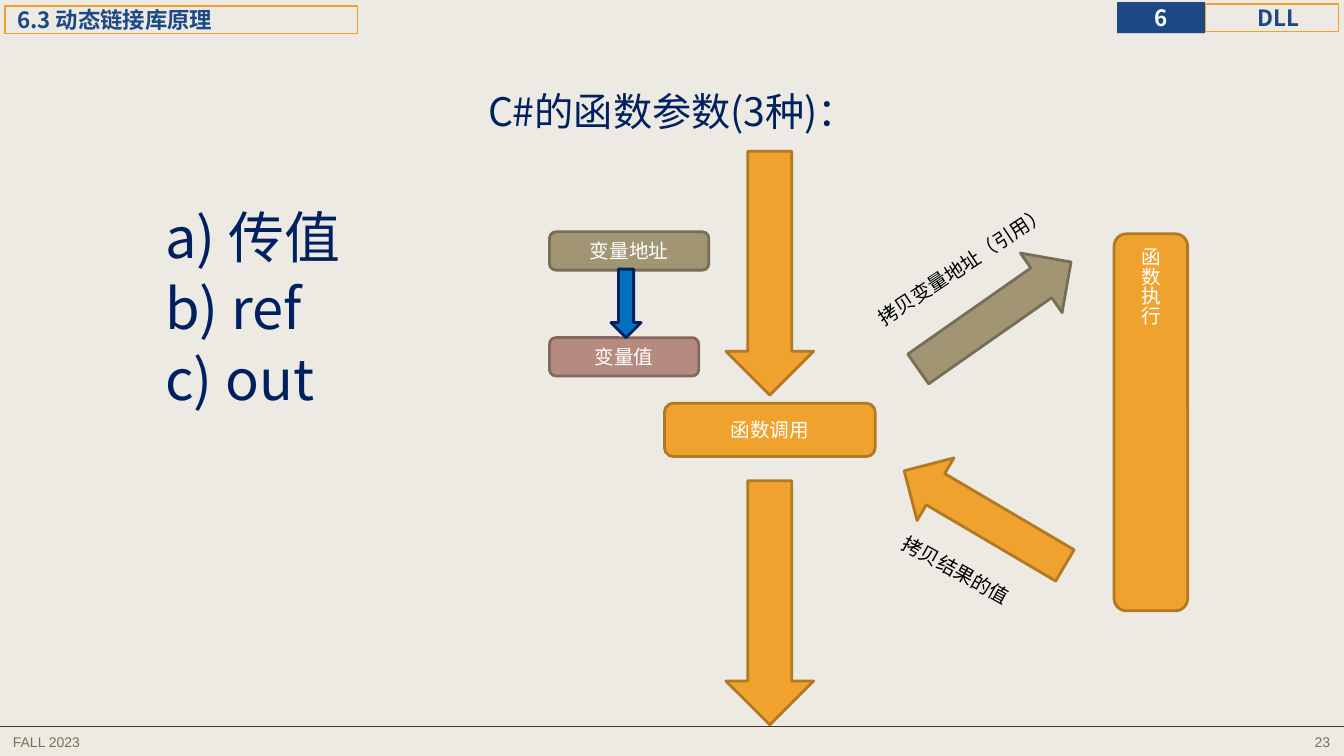
from lxml import etree
from pptx import Presentation
from pptx.dml.color import RGBColor
from pptx.enum import shapes, text
from pptx.oxml import ns
from pptx.util import Inches, Pt

CJK = "Noto Sans CJK SC"
NAVY, BLUE, WHITE, BLACK = "002060", "1C4885", "FFFFFF", "000000"
GOLD, TAN, ROSE = ("F0A22E", "B27822"), ("A19574", "776E56"), ("B58B80", "86675F")
KIND = shapes.MSO_SHAPE
ALIGN = text.PP_ALIGN
ANCHOR = text.MSO_ANCHOR


def color(code):
    return RGBColor.from_string(code)


def write(shape, lines, size, ink, font=CJK, bold=False, align=ALIGN.LEFT,
          anchor=ANCHOR.TOP, inset=(0.1, 0.05, 0.1, 0.05), wrap=True, para=None):
    frame = shape.text_frame
    sides = ("margin_left", "margin_top", "margin_right", "margin_bottom")
    style = dict(zip(sides, map(Inches, inset)), word_wrap=wrap,
                 auto_size=text.MSO_AUTO_SIZE.NONE, vertical_anchor=anchor)
    for key, value in style.items():
        setattr(frame, key, value)
    frame.text = "\n".join(lines)
    for item in frame.paragraphs:
        for key, value in {"alignment": align, **(para or {})}.items():
            setattr(item, key, value)
        for run in item.runs:
            for key, value in {"name": font, "size": Pt(size), "bold": bold}.items():
                setattr(run.font, key, value)
            run.font.color.rgb = color(ink)
            # East Asian glyphs take their own font entry
            etree.SubElement(run.font._element, ns.qn("a:ea")).set("typeface", font)


def draw(slide, kind, box, fill=None, line=None, width=2, turn=0):
    shape = slide.shapes.add_shape(kind, *map(Inches, box))
    shape.shadow.inherit = False
    shape.rotation = turn
    if fill:
        shape.fill.solid()
        shape.fill.fore_color.rgb = color(fill)
    else:
        shape.fill.background()
    if line:
        shape.line.color.rgb = color(line)
        shape.line.width = Pt(width)
    else:
        shape.line.fill.background()
    return shape


def label(slide, box, lines, size, ink, turn=0, **style):
    shape = slide.shapes.add_textbox(*map(Inches, box))
    shape.rotation = turn
    write(shape, lines, size, ink, **style)


def block(slide, box, words, tone):
    shape = draw(slide, KIND.ROUNDED_RECTANGLE, box, *tone)
    write(shape, [words], 14, WHITE, align=ALIGN.CENTER, anchor=ANCHOR.MIDDLE)
    return shape


def tag(slide, box, words, ink, fill=None, line=None, **style):
    shape = draw(slide, KIND.RECTANGLE, box, fill, line, 0.75)
    write(shape, [words], 16, ink, bold=True, anchor=ANCHOR.MIDDLE, **style)


def rule(slide, y, ink):
    line = slide.shapes.add_connector(shapes.MSO_CONNECTOR.STRAIGHT, 0, Inches(y),
                                      Inches(13.33), Inches(y))
    line.line.color.rgb = color(ink)
    line.line.width = Pt(0.5)
    etree.SubElement(line._element.spPr, ns.qn("a:effectLst"))


def main():
    deck = Presentation()
    deck.slide_width, deck.slide_height = Inches(13.33), Inches(7.5)
    slide = deck.slides.add_slide(deck.slide_layouts[5])
    slide.background.fill.solid()
    slide.background.fill.fore_color.rgb = color("ECEAE3")

    # Header tags and footer
    pad = (0.12, 0, 0, 0)
    tag(slide, (11.96, 0.04, 1.32, 0.27), "DLL", BLUE, line=GOLD[0],
        inset=pad, align=ALIGN.CENTER)
    tag(slide, (11.08, 0.02, 0.87, 0.31), "6", WHITE, fill=BLUE,
        inset=(0, 0, 0, 0), align=ALIGN.CENTER, wrap=False)
    tag(slide, (0.05, 0.06, 3.5, 0.27), "6.3 动态链接库原理", BLUE,
        line=GOLD[0], inset=pad)
    rule(slide, 7.21, "523227")
    for x, words, align in ((0.03, "FALL 2023", ALIGN.LEFT), (10.51, "23", ALIGN.RIGHT)):
        label(slide, (x, 7.23, 2.78, 0.31), [words], 10, "7C7154",
              font="Arial", align=align)

    # Title and list
    title = slide.shapes.title
    spot = zip(("left", "top", "width", "height"), (0.92, 0.4, 11.5, 1.45))
    for key, value in spot:
        setattr(title, key, Inches(value))
    inset = (0.08, 0.04, 0.08, 0.04)
    write(title, ["C#的函数参数(3种)："], 28, NAVY, align=ALIGN.CENTER,
          anchor=ANCHOR.MIDDLE, inset=inset, para={"line_spacing": 0.9})
    label(slide, (1.56, 2.04, 3.72, 4.61), ["a) 传值", "b) ref", "c) out"], 40, NAVY,
          inset=inset, para={"line_spacing": 0.9, "space_before": Pt(7.5)})

    # Call flow
    run = block(slide, (11.05, 2.32, 0.73, 3.74), "函数执行", GOLD)
    run.text_frame._txBody.bodyPr.set("vert", "eaVert")
    for y in (1.5, 4.77):
        draw(slide, KIND.DOWN_ARROW, (7.2, y, 0.87, 2.42), *GOLD)
    block(slide, (6.59, 4, 2.09, 0.53), "函数调用", GOLD)
    for x, y, tone, turn in ((8.94, 2.77, TAN, 325), (8.84, 4.78, GOLD, 210.5)):
        draw(slide, KIND.RIGHT_ARROW, (x, y, 1.85, 0.72), *tone, turn=turn)
    label(slide, (8.44, 2.3, 2.74, 0.4), ["拷贝变量地址（引用）"], 14, BLACK, 326.5)
    label(slide, (8.76, 5.57, 1.72, 0.4), ["拷贝结果的值"], 14, BLACK, 29, wrap=False)

    # Address pointing to value
    block(slide, (5.45, 2.3, 1.58, 0.38), "变量地址", TAN)
    block(slide, (5.45, 3.35, 1.48, 0.38), "变量值", ROSE)
    draw(slide, KIND.DOWN_ARROW, (6.06, 2.67, 0.3, 0.68), "0070C0", NAVY)

    deck.save("out.pptx")


if __name__ == "__main__":
    main()
